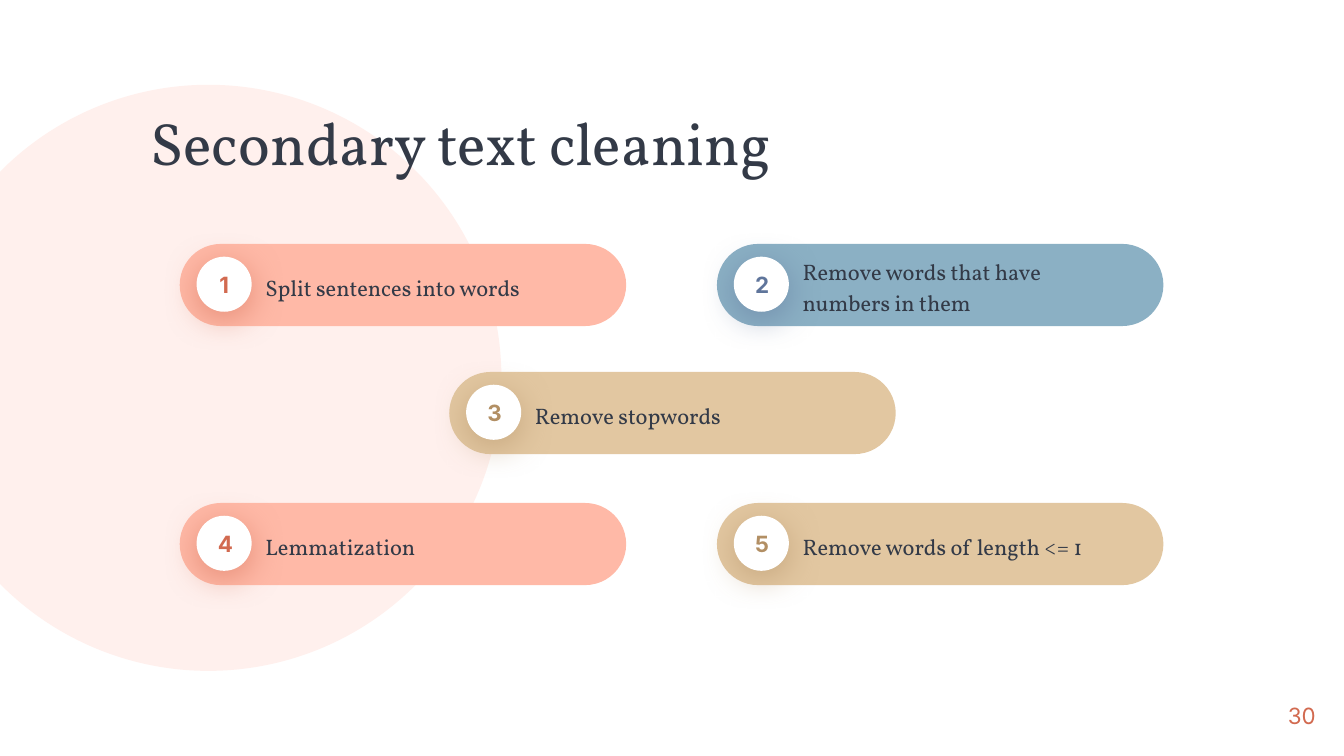
from lxml.etree import SubElement
from pptx import Presentation
from pptx.dml.color import RGBColor
from pptx.enum.shapes import MSO_SHAPE as Preset
from pptx.enum.text import MSO_ANCHOR as Anchor, PP_ALIGN as Align
from pptx.oxml.ns import qn
from pptx.util import Pt

COLORS = {
    "ink": "333A47", "white": "FFFFFF", "blush": "FFF0ED",
    "coral": "FFB9A7", "blue": "8BB0C4", "sand": "E2C7A1",
    "deep coral": "D26A50", "deep blue": "5F759B", "deep sand": "B28F64",
}


def add_shape(shapes, preset, left, top, width, height, color):
    shape = shapes.add_shape(preset, Pt(left), Pt(top), Pt(width), Pt(height))
    shape.shadow.inherit = False
    shape.fill.solid()
    shape.fill.fore_color.rgb = RGBColor.from_string(COLORS[color])
    shape.line.fill.background()
    return shape


def write(shape, text, font, size, color, align, inset=0, spacing=1.0, bold=False):
    frame = shape.text_frame
    frame.word_wrap = True
    frame.vertical_anchor = Anchor.MIDDLE
    frame.margin_left = frame.margin_right = Pt(inset)
    frame.margin_top = frame.margin_bottom = Pt(inset)
    paragraph = frame.paragraphs[0]
    paragraph.alignment = align
    paragraph.line_spacing = spacing
    run = paragraph.add_run()
    run.text = text
    run.font.name = font
    run.font.size = Pt(size)
    run.font.bold = bold
    run.font.color.rgb = RGBColor.from_string(COLORS[color])


deck = Presentation()
deck.slide_width, deck.slide_height = Pt(720), Pt(405)
slide = deck.slides.add_slide(deck.slide_layouts[6])

# Background circle, cut off along the left slide edge
circle = add_shape(slide.shapes, Preset.CHORD, -45.4, 45.4, 314, 314, "blush")
circle.rotation = 180
circle.adjustments[0] = 26.74
circle.adjustments[1] = 189.218

page_number = slide.shapes.add_textbox(Pt(661.7), Pt(368), Pt(43.2), Pt(31))
write(page_number, "30", "Inter", 12, "deep coral", Align.RIGHT)

# Numbered steps: two in the outer columns, one between, two in the outer columns
LEFT, MIDDLE, RIGHT = 96.3, 240.7, 384.1
ROWS = [130.7, 199.3, 269.5]
steps = [
    ("Split sentences into words", LEFT, ROWS[0], "coral"),
    ("Remove words that have numbers in them", RIGHT, ROWS[0], "blue"),
    ("Remove stopwords", MIDDLE, ROWS[1], "sand"),
    ("Lemmatization", LEFT, ROWS[2], "coral"),
    ("Remove words of length <= 1", RIGHT, ROWS[2], "sand"),
]
for number, (step, left, top, color) in enumerate(steps, start=1):
    group = slide.shapes.add_group_shape()
    pill = add_shape(group.shapes, Preset.ROUNDED_RECTANGLE, left, top, 239.2, 44, color)
    pill.adjustments[0] = 0.5

    badge = add_shape(group.shapes, Preset.OVAL, left + 9, top + 6.8, 29.5, 29.5, "white")
    effects = badge._element.spPr.find(qn("a:effectLst"))
    shadow = SubElement(effects, qn("a:outerShdw"), blurRad=str(Pt(18)), dist=str(Pt(4)),
                        dir="5400000", algn="bl", rotWithShape="0")
    tint = SubElement(shadow, qn("a:srgbClr"), val=COLORS["deep " + color])
    SubElement(tint, qn("a:alpha"), val="55000")
    write(badge, str(number), "Inter", 12, "deep " + color, Align.CENTER, inset=7.2, bold=True)

    label = group.shapes.add_textbox(Pt(left + 38.8), Pt(top + 6.6), Pt(184), Pt(31))
    write(label, step, "Vollkorn", 12, "ink", Align.LEFT, inset=7.2, spacing=1.15)

title = slide.shapes.add_textbox(Pt(67.7), Pt(59), Pt(358.6), Pt(38.2))
write(title, "Secondary text cleaning", "Vollkorn", 32, "ink", Align.CENTER, spacing=0.9)

deck.save("out.pptx")
